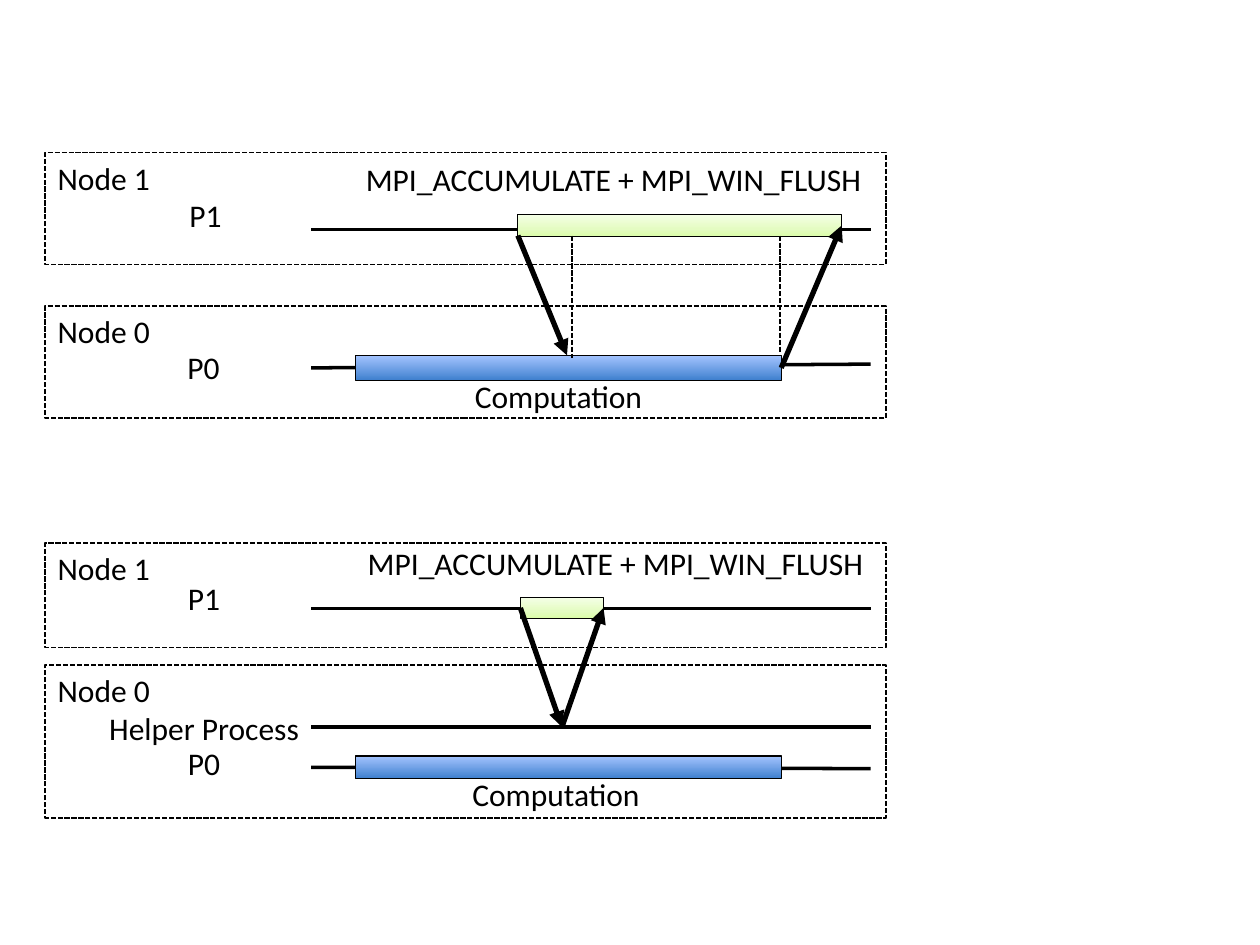
import pptx
import pptx.dml.color
import pptx.enum.dml
import pptx.enum.shapes
import pptx.enum.text
import pptx.oxml.ns
import pptx.util
from lxml import etree
from pptx.util import Inches

BLACK = pptx.dml.color.RGBColor(0x00, 0x00, 0x00)
WHITE = pptx.dml.color.RGBColor(0xFF, 0xFF, 0xFF)
BLUE_DARK = pptx.dml.color.RGBColor(0x3F, 0x80, 0xCE)
BLUE_LIGHT = pptx.dml.color.RGBColor(0xA4, 0xC4, 0xFF)
GREEN_DARK = pptx.dml.color.RGBColor(0xDA, 0xFD, 0xA7)
GREEN_MID = pptx.dml.color.RGBColor(0xE4, 0xFC, 0xC2)
GREEN_LIGHT = pptx.dml.color.RGBColor(0xF5, 0xFF, 0xE7)

BLUE_STOPS = [(0, BLUE_DARK), (100, BLUE_LIGHT)]
GREEN_STOPS = [(0, GREEN_DARK), (35, GREEN_MID), (100, GREEN_LIGHT)]
FONT = {"name": "Calibri", "size": pptx.util.Pt(18)}
DASH = pptx.enum.dml.MSO_LINE.SQUARE_DOT
LEFT = pptx.enum.text.PP_ALIGN.LEFT
CENTER = pptx.enum.text.PP_ALIGN.CENTER
RECTANGLE = pptx.enum.shapes.MSO_SHAPE.RECTANGLE
STRAIGHT = pptx.enum.shapes.MSO_CONNECTOR.STRAIGHT
SIDE_LEFT, SIDE_RIGHT = 1, 3

TIMELINE_START, TIMELINE_END = 2.47, 6.91
NODE_LEFT, NODE_WIDTH = 0.36, 6.67
PROCESS_LEFT = 0.77
WORK_LEFT, WORK_WIDTH = 2.82, 3.38
CALL_TEXT = "MPI_ACCUMULATE + MPI_WIN_FLUSH"


def write(frame, text, align):
    frame.word_wrap = True
    frame.vertical_anchor = pptx.enum.text.MSO_ANCHOR.TOP
    para = frame.paragraphs[0]
    para.alignment = align
    span = para.add_run()
    span.text = text
    for name, value in FONT.items():
        setattr(span.font, name, value)
    span.font.color.rgb = BLACK


def style_line(line, width, dash=None):
    line.color.rgb = BLACK
    for name, value in {"width": pptx.util.Pt(width), "dash_style": dash}.items():
        setattr(line, name, value)


def add_rectangle(group, left, top, width, height):
    box = group.shapes.add_shape(
        RECTANGLE, Inches(left), Inches(top), Inches(width), Inches(height))
    box.shadow.inherit = False
    return box


def add_node(group, name, top, height):
    box = add_rectangle(group, NODE_LEFT, top, NODE_WIDTH, height)
    box.fill.solid()
    box.fill.fore_color.rgb = WHITE
    style_line(box.line, 1, DASH)
    write(box.text_frame, name, LEFT)


def add_bar(group, left, top, width, height, stops):
    """Add a bar whose gradient stops run from its bottom to its top."""
    bar = add_rectangle(group, left, top, width, height)
    bar.fill.gradient()
    bar.fill.gradient_angle = 90
    qn = pptx.oxml.ns.qn
    stop_list = next(bar._element.spPr.iter(qn("a:gsLst")))
    for old_stop in list(stop_list):
        stop_list.remove(old_stop)
    for percent, color in stops:
        stop = etree.SubElement(stop_list, qn("a:gs"), pos=str(percent * 1000))
        etree.SubElement(stop, qn("a:srgbClr"), val=str(color))
    style_line(bar.line, 0.75)
    return bar


def add_label(group, text, left, top, width, height, align=CENTER, side_inset=0.1):
    label = group.shapes.add_textbox(
        Inches(left), Inches(top), Inches(width), Inches(height))
    write(label.text_frame, text, align)
    formats = {
        "margin_left": Inches(side_inset),
        "margin_right": Inches(side_inset),
        "auto_size": pptx.enum.text.MSO_AUTO_SIZE.SHAPE_TO_FIT_TEXT,
    }
    for name, value in formats.items():
        setattr(label.text_frame, name, value)


def add_line(group, start, end, width, dash=None):
    line = group.shapes.add_connector(
        STRAIGHT, *(Inches(value) for value in (*start, *end)))
    style_line(line.line, width, dash)
    etree.SubElement(line._element.spPr, pptx.oxml.ns.qn("a:effectLst"))
    return line


def add_timeline(group, start_y, end_y):
    add_line(group, (TIMELINE_START, start_y), (TIMELINE_END, end_y), 2)


def add_arrow(group, start, end):
    arrow = add_line(group, start, end, 3)
    etree.SubElement(arrow.line._get_or_add_ln(),
                     pptx.oxml.ns.qn("a:tailEnd"), type="triangle")
    return arrow


def draw_without_helper(page):
    group = page.shapes.add_group_shape()
    add_node(group, "Node 0", 2.43, 0.89)
    add_node(group, "Node 1", 1.21, 0.89)
    add_timeline(group, 1.82, 1.82)
    add_timeline(group, 2.92, 2.89)
    add_label(group, "P1", PROCESS_LEFT, 1.51, 1.72, 0.35)
    add_label(group, "P0", PROCESS_LEFT, 2.71, 1.69, 0.35)
    work = add_bar(group, WORK_LEFT, 2.82, WORK_WIDTH, 0.2, BLUE_STOPS)
    call = add_bar(group, 4.11, 1.7, 2.57, 0.18, GREEN_STOPS)
    add_arrow(group, (4.11, 1.87), (4.5, 2.82))
    reply = add_arrow(group, (6.19, 2.92), (6.68, 1.79))
    reply.begin_connect(work, SIDE_RIGHT)
    reply.end_connect(call, SIDE_RIGHT)
    for x, bottom in ((4.54, 2.84), (6.19, 2.79)):
        add_line(group, (x, 1.87), (x, bottom), 1, DASH)
    add_label(group, "Computation", 3.67, 2.94, 1.78, 0.35, LEFT)
    add_label(group, CALL_TEXT, 2.5, 1.22, 4.74, 0.35)


def draw_with_helper(page):
    group = page.shapes.add_group_shape()
    add_node(group, "Node 0", 5.28, 1.21)
    add_node(group, "Node 1", 4.31, 0.83)
    add_timeline(group, 4.83, 4.83)
    add_timeline(group, 6.09, 6.1)
    for name, top in (("P1", 4.55), ("P0", 5.86), ("Helper Process", 5.58)):
        add_label(group, name, PROCESS_LEFT, top, 1.7, 0.33, side_inset=0.04)
    add_bar(group, WORK_LEFT, 6, WORK_WIDTH, 0.18, BLUE_STOPS)
    call = add_bar(group, 4.13, 4.74, 0.66, 0.17, GREEN_STOPS)
    request = add_arrow(group, (4.13, 4.82), (4.46, 5.77))
    request.begin_connect(call, SIDE_LEFT)
    reply = add_arrow(group, (4.46, 5.77), (4.78, 4.82))
    reply.end_connect(call, SIDE_RIGHT)
    add_label(group, "Computation", 3.65, 6.1, 1.78, 0.33, LEFT)
    add_label(group, CALL_TEXT, 2.82, 4.27, 4.29, 0.57, LEFT)
    add_timeline(group, 5.77, 5.77)


def main():
    deck = pptx.Presentation()
    deck.slide_width, deck.slide_height = Inches(10), Inches(7.5)
    page = deck.slides.add_slide(deck.slide_layouts[6])
    draw_without_helper(page)
    draw_with_helper(page)
    deck.save("out.pptx")


if __name__ == "__main__":
    main()
